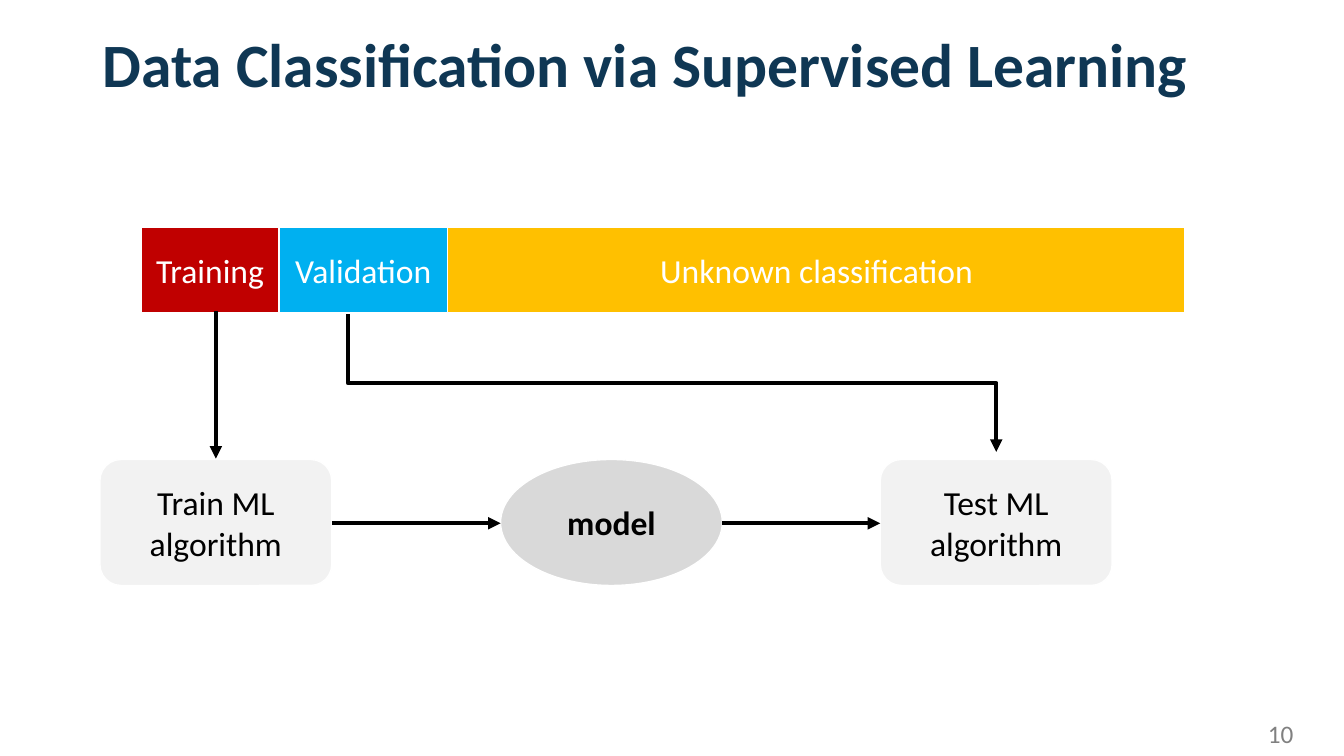
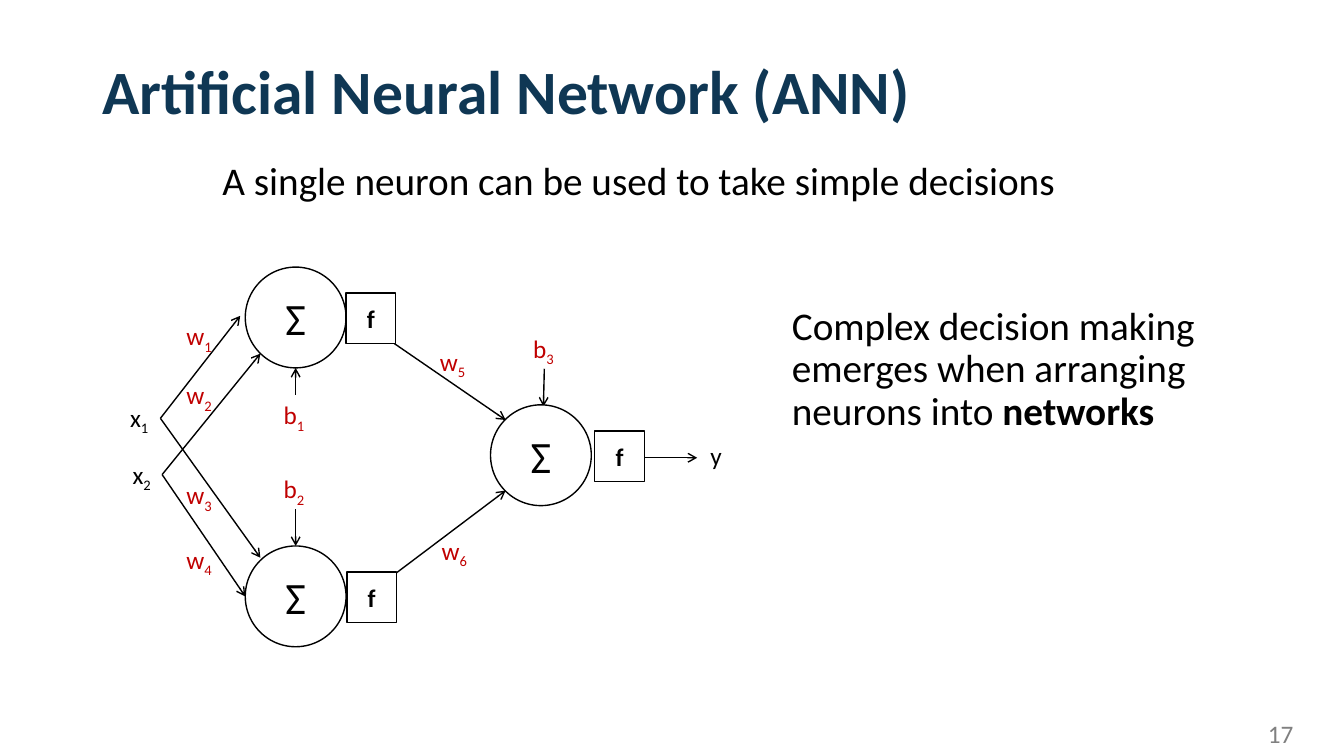
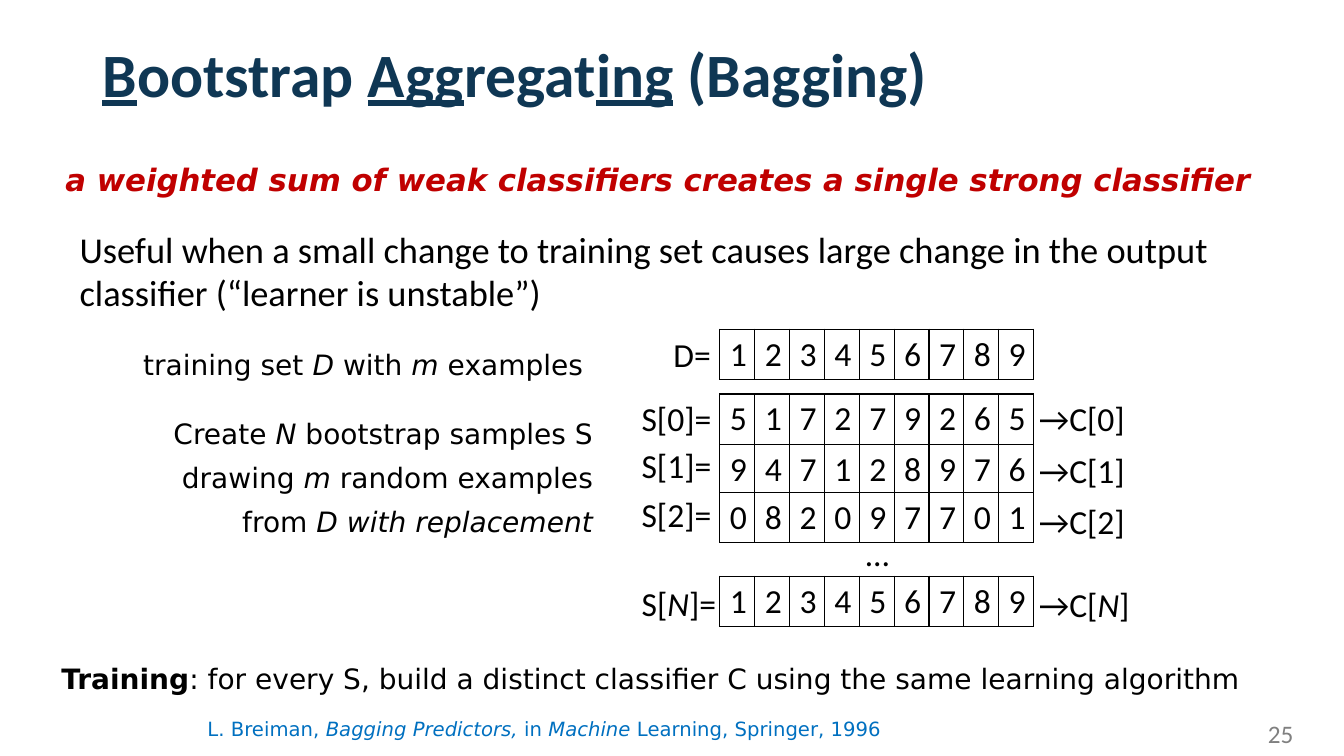
"""Build three slides on supervised learning, neural networks and bagging."""
import lxml.etree
import pptx
import pptx.dml.color
import pptx.enum.shapes
import pptx.enum.text
import pptx.oxml.ns
import pptx.util

COLOURS = {
    "navy": "0F3754", "black": "000000", "white": "FFFFFF", "red": "C00000",
    "sky": "00B0F0", "gold": "FFC000", "mist": "F2F2F2", "silver": "D9D9D9",
    "grey": "808080", "blue": "0070C0",
}
RGB = {name: pptx.dml.color.RGBColor.from_string(code) for name, code in COLOURS.items()}
BODY, SANS = "Calibri", "DejaVu Sans"
SHAPE = pptx.enum.shapes.MSO_SHAPE
CONNECTOR = pptx.enum.shapes.MSO_CONNECTOR
ALIGN = pptx.enum.text.PP_ALIGN
ANCHOR = pptx.enum.text.MSO_ANCHOR
qn = pptx.oxml.ns.qn

COLUMNS, ROWS = 160, 90
CELL = pptx.util.Inches(1) // 12


def write(page, spot, spans, size, kind=None, colour="black", face=BODY, align=ALIGN.LEFT,
          spacing=None, inset=None, wrap=True, fill="white", edge="black"):
    """Place a text box, the title or a preset shape on the grid and add its runs."""
    place = [int(length * CELL) for length in spot]
    if kind is None:
        box = page.shapes.add_textbox(*place)
    elif kind == "title":
        box = page.shapes.title
        box.left, box.top, box.width, box.height = place
    else:
        box = page.shapes.add_shape(kind, *place)
        box.shadow.inherit = False
        box.fill.solid()
        box.fill.fore_color.rgb = RGB[fill]
        box.line.color.rgb = RGB[edge]
        box.line.width = pptx.util.Pt(1)
    frame = box.text_frame
    frame.word_wrap = wrap
    frame.vertical_anchor = ANCHOR.MIDDLE if kind else ANCHOR.TOP
    if inset is not None:
        frame.margin_left = frame.margin_right = pptx.util.Pt(inset)
        frame.margin_top = frame.margin_bottom = pptx.util.Pt(inset)
    para = frame.paragraphs[0]
    para.alignment = align
    if spacing:
        para.line_spacing = spacing
    for text, style in [(spans, "")] if isinstance(spans, str) else spans:
        span = para.add_run()
        span.text = text
        span.font.name = face
        span.font.size = pptx.util.Pt(size)
        span.font.color.rgb = RGB[colour]
        span.font.bold = "b" in style
        span.font.italic = "i" in style
        span.font.underline = "u" in style
        if "s" in style:
            span.font._element.set("baseline", "-25000")


def arrow(page, start, end, weight, head, bent=False):
    """Draw an arrow between grid points; a bent one leaves and arrives vertically."""
    kind, ends = CONNECTOR.STRAIGHT, (*start, *end)
    if bent:
        middle_x, middle_y = (start[0] + end[0]) / 2, (start[1] + end[1]) / 2
        half_x, half_y = (end[0] - start[0]) / 2, (end[1] - start[1]) / 2
        kind = CONNECTOR.ELBOW
        ends = (middle_x + half_y, middle_y - half_x, middle_x - half_y, middle_y + half_x)
    line = page.shapes.add_connector(kind, *[int(length * CELL) for length in ends])
    line.line.color.rgb = RGB["black"]
    line.line.width = pptx.util.Pt(weight)
    properties = line.element.spPr
    if bent:
        properties.find(qn("a:xfrm")).set("rot", "16200000")
    lxml.etree.SubElement(properties.find(qn("a:ln")), qn("a:tailEnd"), type=head)
    lxml.etree.SubElement(properties, qn("a:effectLst"))


deck = pptx.Presentation()
deck.slide_width, deck.slide_height = COLUMNS * CELL, ROWS * CELL

headings = [
    (-0.7, "10", [("Data Classification via Supervised Learning", "b")]),
    (2.6, "17", [("Artificial Neural Network (ANN)", "b")]),
    (0.5, "25", [("B", "bu"), ("ootstrap ", "b"), ("Agg", "bu"), ("regat", "b"),
                 ("ing", "bu"), (" (Bagging)", "b")]),
]
for top, number, spans in headings:
    page = deck.slides.add_slide(deck.slide_layouts[5])
    write(page, (11, top, 138, 17.4), spans, 44, "title", "navy", spacing=0.9)
    write(page, (150.6, 85.2, 5, 4.2), number, 18, colour="grey", inset=2)
learning, network, bagging = deck.slides

left = 16.8
for label, width, fill in [("Training", 16.4, "red"), ("Validation", 20.1, "sky"),
                           ("Unknown classification", 87.8, "gold")]:
    write(learning, (left, 27.1, width, 10.1), label, 24, SHAPE.RECTANGLE, "white",
          align=ALIGN.CENTER, fill=fill, edge="white")
    left += width
for left, width, kind, label, style, fill in [
    (11.9, 27.6, SHAPE.ROUNDED_RECTANGLE, "Train ML algorithm", "", "mist"),
    (59.6, 26.4, SHAPE.OVAL, "model", "b", "silver"),
    (104.8, 27.6, SHAPE.ROUNDED_RECTANGLE, "Test ML algorithm", "", "mist"),
]:
    write(learning, (left, 54.7, width, 15), [(label, style)], 24, kind,
          align=ALIGN.CENTER, fill=fill, edge="white")
for start, end, bent in [
    ((39.5, 62.3), (59.6, 62.3), False),
    ((25.7, 37), (25.7, 54.6), False),
    ((86, 62.3), (104.8, 62.3), False),
    ((41.4, 37.4), (118.6, 53.8), True),
]:
    arrow(learning, start, end, 3, "triangle", bent)

write(network, (25.3, 18.6, 118.2, 11.6),
      "A single neuron can be used to take simple decisions", 28, spacing=0.9)
write(network, (93.1, 35.9, 64.4, 36),
      [("Complex decision making emerges when arranging neurons into ", ""), ("networks", "b")],
      28, spacing=0.9)
first_input, second_input = (19.1, 49.8), (19.3, 56.5)
for start, end in [
    (first_input, (28.6, 37.6)), (first_input, (31, 66.4)),
    (second_input, (31, 42.1)), (second_input, (29.2, 71)),
    ((46.8, 40.8), (60.2, 50)), ((47.2, 68.2), (60.2, 58.4)),
    ((76.7, 54.5), (83, 54.5)),
    ((35.2, 47), (35.2, 43.8)), ((35.2, 60.6), (35.2, 65)), ((64.8, 43.9), (64.7, 48.4)),
]:
    arrow(network, start, end, 1, "arrow")
for left, top, output_left in [(29.2, 31.8, 41.2), (29.2, 65, 41.3), (58.4, 48.2, 70.8)]:
    write(network, (left, top, 12, 12), "Σ", 32, SHAPE.OVAL, align=ALIGN.CENTER, inset=0)
    write(network, (output_left, top + 3.1, 5.9, 6), [("f", "b")], 18, SHAPE.RECTANGLE,
          align=ALIGN.CENTER)
for letter, index, left, top, width, colour in [
    ("x", "1", 14.3, 47.3, 4.8, "black"), ("x", "2", 14.6, 54.1, 4.8, "black"),
    ("w", "1", 21, 37.6, 5.6, "red"), ("w", "2", 21, 44.6, 5.6, "red"),
    ("w", "3", 21, 56.5, 5.6, "red"), ("w", "4", 21, 64.2, 5.6, "red"),
    ("w", "5", 51.2, 40.6, 5.6, "red"), ("w", "6", 51.4, 63.1, 5.6, "red"),
    ("b", "1", 32.6, 47, 5, "red"), ("b", "2", 32.6, 55.8, 5, "red"),
    ("b", "3", 62.3, 39.1, 5, "red"),
]:
    write(network, (left, top, width, 4.8), [(letter, ""), (index, "s")], 18,
          colour=colour, wrap=False)
write(network, (83.4, 51.8, 3.8, 4.8), "y", 18, wrap=False)

write(bagging, (6.6, 18.6, 144.7, 5.6),
      [("a weighted sum of weak classifiers creates a single strong classifier", "bi")],
      22, colour="red", face=SANS)
write(bagging, (8.3, 26.4, 144.2, 11.8),
      "Useful when a small change to training set causes large change in the output "
      "classifier (“learner is unstable”)", 26)
write(bagging, (15.4, 39.6, 55.2, 6.2),
      [("training set ", ""), ("D", "i"), (" with ", ""), ("m", "i"), (" examples", "")],
      20, face=SANS, align=ALIGN.RIGHT, spacing=1.3)
write(bagging, (15.4, 48.4, 55.2, 10.8),
      [("Create ", ""), ("N", "i"), (" bootstrap samples S drawing ", ""), ("m", "i"),
       (" random examples from ", ""), ("D with replacement", "i")],
      20, face=SANS, align=ALIGN.RIGHT, spacing=1.3, inset=0)
write(bagging, (7.3, 77.5, 144.2, 6),
      [("Training", "b"),
       (": for every S, build a distinct classifier C using the same learning algorithm", "")],
      20, face=SANS, spacing=1.3, inset=0)
write(bagging, (24.7, 85.4, 108.4, 5.9),
      [("L. Breiman, ", ""), ("Bagging Predictors,", "i"), (" in ", ""), ("Machine ", "i"),
       ("Learning, Springer, 1996", "")], 14, colour="blue", face=SANS, inset=0)
write(bagging, (101.9, 62.8, 5.3, 6), "…", 24, wrap=False)
write(bagging, (79, 39.2, 7, 6), "D=", 24, wrap=False)

for index, label_top, result_top, width in [("0", 46.8, 46.8, 10.8), ("1", 52.4, 53, 10.8),
                                            ("2", 58.2, 59, 10.8), ("N", 68.8, 68.9, 11.4)]:
    middle = (index, "i" if index == "N" else "")
    write(bagging, (75.2, label_top, width, 6), [("S[", ""), middle, ("]=", "")], 24, wrap=False)
    write(bagging, (122.5, result_top, width + 1.9, 6), [("→C[", ""), middle, ("]", "")], 24,
          wrap=False)

for top, digits in [(39.2, "123456789"), (46.9, "517279265"), (52.9, "947128976"),
                    (58.6, "082097701"), (68.6, "123456789")]:
    spot = [int(length * CELL) for length in (85.7, top, 4.15 * len(digits), 6)]
    table = bagging.shapes.add_table(1, len(digits), *spot).table
    table.first_row = table.horz_banding = False
    for column, digit in enumerate(digits):
        table.columns[column].width = int(4.15 * CELL)
        cell = table.cell(0, column)
        span = cell.text_frame.paragraphs[0].add_run()
        span.text = digit
        span.font.name = BODY
        span.font.size = pptx.util.Pt(24)
        span.font.color.rgb = RGB["black"]
        properties = cell._tc.get_or_add_tcPr()
        for side in ("a:lnL", "a:lnR", "a:lnT", "a:lnB"):
            border = lxml.etree.SubElement(properties, qn(side), w=str(pptx.util.Pt(1)))
            paint = lxml.etree.SubElement(border, qn("a:solidFill"))
            lxml.etree.SubElement(paint, qn("a:srgbClr"), val=COLOURS["black"])
        cell.fill.solid()
        cell.fill.fore_color.rgb = RGB["white"]

deck.save("out.pptx")
